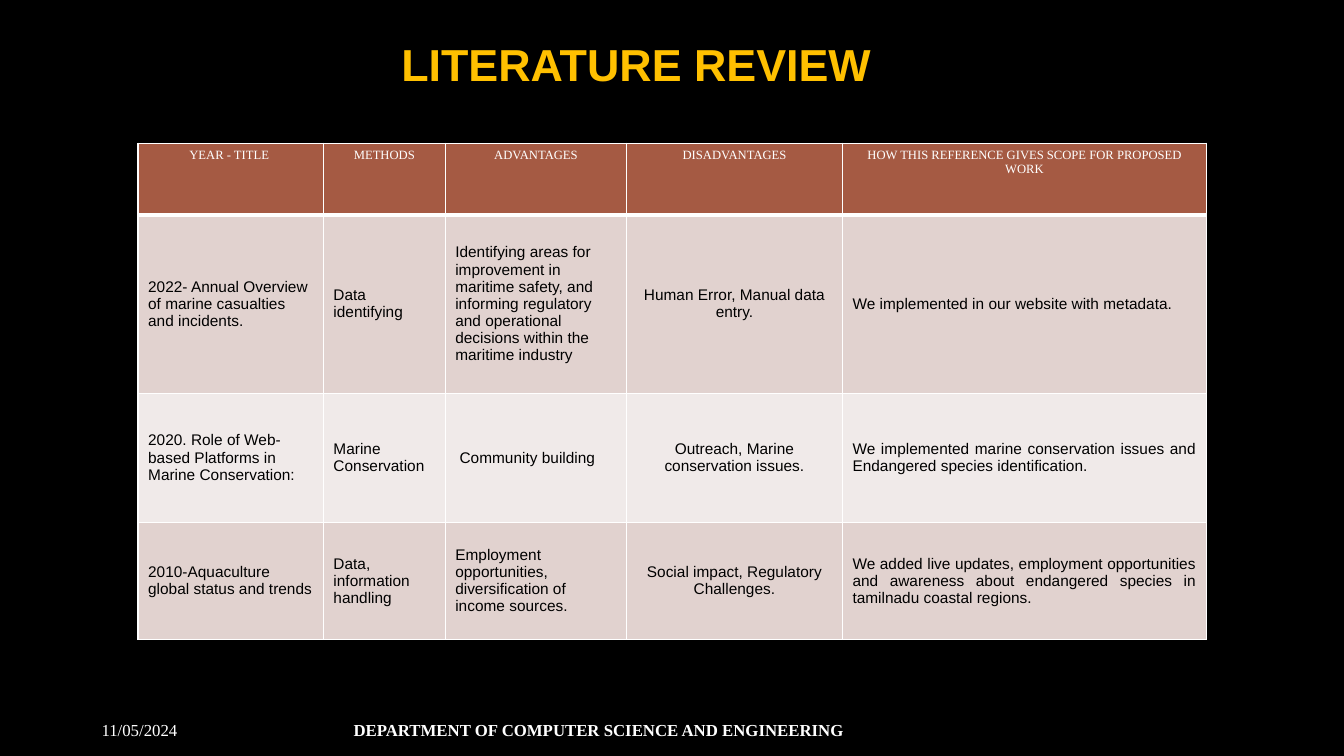
"""Build the literature review slide with its table and footer."""
from dataclasses import dataclass

from lxml import etree
from pptx import Presentation
from pptx import util as u
from pptx.dml.color import RGBColor
from pptx.enum import text
from pptx.oxml import ns

HEAD = "LITERATURE REVIEW"
ROWS = [
    ("YEAR - TITLE ", "METHODS", "ADVANTAGES", "DISADVANTAGES",
     "HOW THIS REFERENCE GIVES SCOPE FOR PROPOSED WORK"),
    ("2022- Annual Overview of marine casualties and incidents.",
     "Data identifying",
     "Identifying areas for improvement in maritime safety, and informing "
     "regulatory and operational decisions within the maritime industry",
     "Human Error, Manual data entry.",
     "We implemented in our website with metadata."),
    ("2020. Role of Web-based Platforms in Marine Conservation:",
     "Marine Conservation",
     " Community building",
     "Outreach, Marine conservation issues.",
     "We implemented marine conservation issues and Endangered species "
     "identification."),
    ("2010-Aquaculture global status and trends",
     "Data, information handling",
     "Employment opportunities, diversification of income sources.",
     "Social impact, Regulatory Challenges.",
     "We added live updates, employment opportunities and awareness about "
     "endangered species in tamilnadu coastal regions."),
]
WIDTHS = (4.67, 3.07, 4.57, 5.44, 9.17)
HEIGHTS = (1.8, 4.5, 3.25, 2.95)
FOOT = [
    ("11/05/2024", 2.31, 4.93, False),
    ("DEPARTMENT OF COMPUTER SCIENCE AND ENGINEERING", 8.66, 14.27, True),
]
LEFT, MID, JUST = (text.PP_ALIGN.LEFT, text.PP_ALIGN.CENTER,
                   text.PP_ALIGN.JUSTIFY)
ALIGNS = (LEFT, LEFT, LEFT, MID, JUST)


@dataclass(frozen=True)
class Theme:
    """Colours, fonts and type sizes."""
    back: str = "000000"
    gold: str = "FFC000"
    white: str = "FFFFFF"
    ink: str = "000000"
    rust: str = "A55A43"
    bands: tuple = ("F0EAE9", "E1D2CF")
    sans: str = "Arial"
    serif: str = "Times New Roman"
    title: int = 32
    foot: int = 12
    head: int = 9
    body: int = 11


T = Theme()


def paint(fill, hue):
    """Give a fill one solid colour."""
    fill.solid()
    fill.fore_color.rgb = RGBColor.from_string(hue)


def style(frame, face, size, hue, bold=False, align=LEFT):
    """Format every run of a text frame."""
    frame.word_wrap = True
    for para in frame.paragraphs:
        para.alignment = align
        for run in para.runs:
            font = run.font
            font.name, font.size, font.bold = face, u.Pt(size), bold
            font.color.rgb = RGBColor.from_string(hue)


def edge(cell, base):
    """Draw the four borders of a cell, the lower one at its own weight."""
    props = cell._tc.get_or_add_tcPr()
    for side, wide in zip("LRTB", (1, 1, 1, base)):
        line = etree.SubElement(props, ns.qn(f"a:ln{side}"), w=str(u.Pt(wide)))
        solid = etree.SubElement(line, ns.qn("a:solidFill"))
        etree.SubElement(solid, ns.qn("a:srgbClr"), val=T.white)


def add_title(slide):
    """Place the heading."""
    box = slide.shapes.title
    box.left, box.top = u.Cm(9.86), u.Cm(0.79)
    box.width, box.height = u.Cm(13.41), u.Cm(1.63)
    frame = box.text_frame
    frame.text = HEAD
    frame.auto_size = text.MSO_AUTO_SIZE.NONE
    frame.vertical_anchor = text.MSO_ANCHOR.MIDDLE
    style(frame, T.sans, T.title, T.gold, True)


def add_grid(slide):
    """Place the review table."""
    grid = slide.shapes.add_table(
        len(ROWS), len(WIDTHS), u.Cm(3.48), u.Cm(3.61),
        u.Cm(sum(WIDTHS)), u.Cm(sum(HEIGHTS))).table
    for col, wide in zip(grid.columns, WIDTHS):
        col.width = u.Cm(wide)
    for row, high in zip(grid.rows, HEIGHTS):
        row.height = u.Cm(high)
    for r, row in enumerate(ROWS):
        for c, words in enumerate(row):
            cell = grid.cell(r, c)
            cell.text_frame.text = words
            if r == 0:
                edge(cell, 3)
                paint(cell.fill, T.rust)
                style(cell.text_frame, T.serif, T.head, T.white, align=MID)
            else:
                edge(cell, 1)
                paint(cell.fill, T.bands[r % 2])
                cell.vertical_anchor = text.MSO_ANCHOR.MIDDLE
                style(cell.text_frame, T.sans, T.body, T.ink, align=ALIGNS[c])


def add_foot(slide):
    """Place the date and the department."""
    for words, left, wide, bold in FOOT:
        box = slide.shapes.add_textbox(
            u.Cm(left), u.Cm(18.01), u.Cm(wide), u.Cm(0.76))
        box.text_frame.text = words
        style(box.text_frame, T.serif, T.foot, T.white, bold)


def main():
    """Build and save the deck."""
    deck = Presentation()
    deck.slide_width, deck.slide_height = u.Cm(33.87), u.Cm(19.05)
    slide = deck.slides.add_slide(deck.slide_layouts[5])
    paint(slide.background.fill, T.back)
    add_foot(slide)
    add_title(slide)
    add_grid(slide)
    deck.save("out.pptx")


if __name__ == "__main__":
    main()
